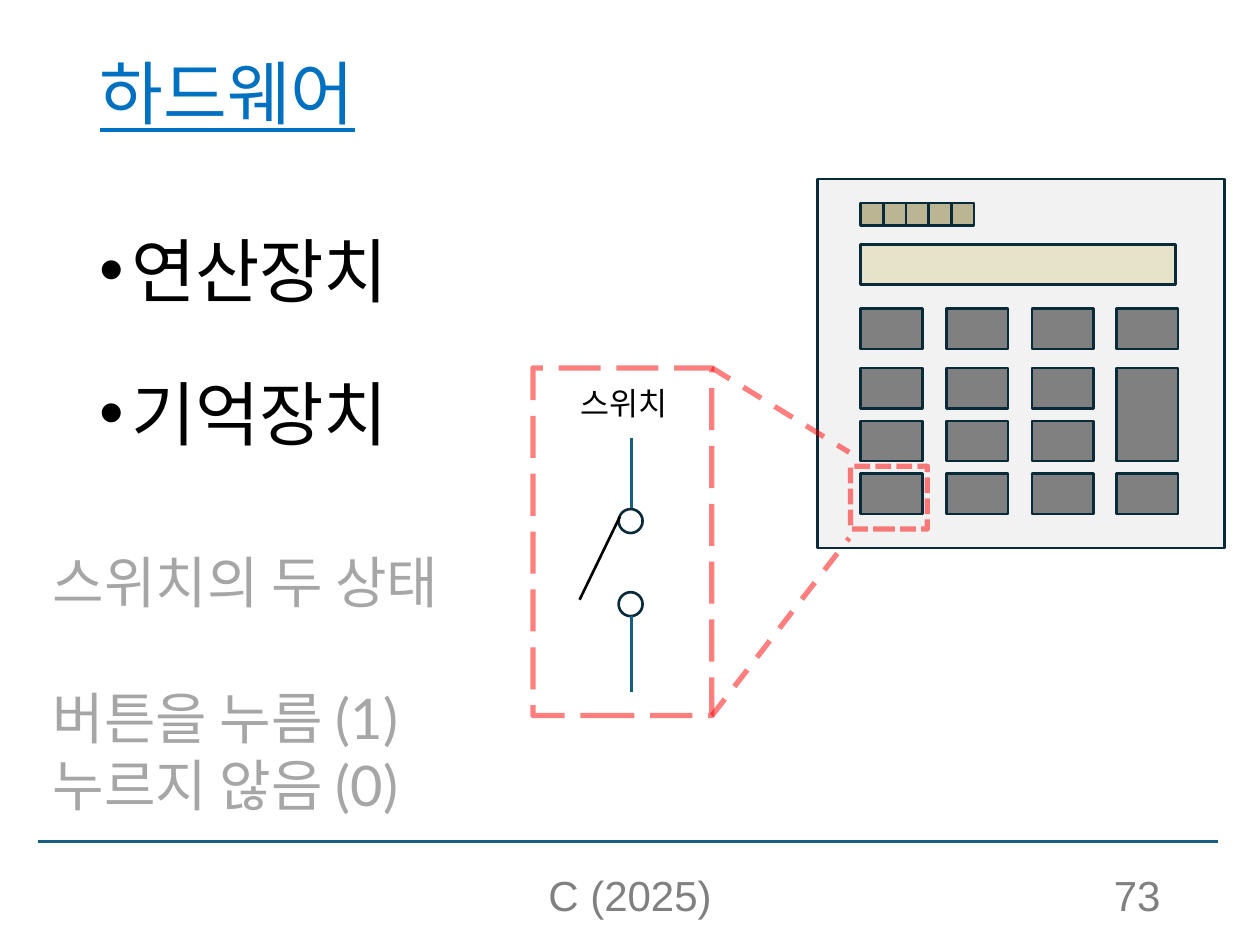
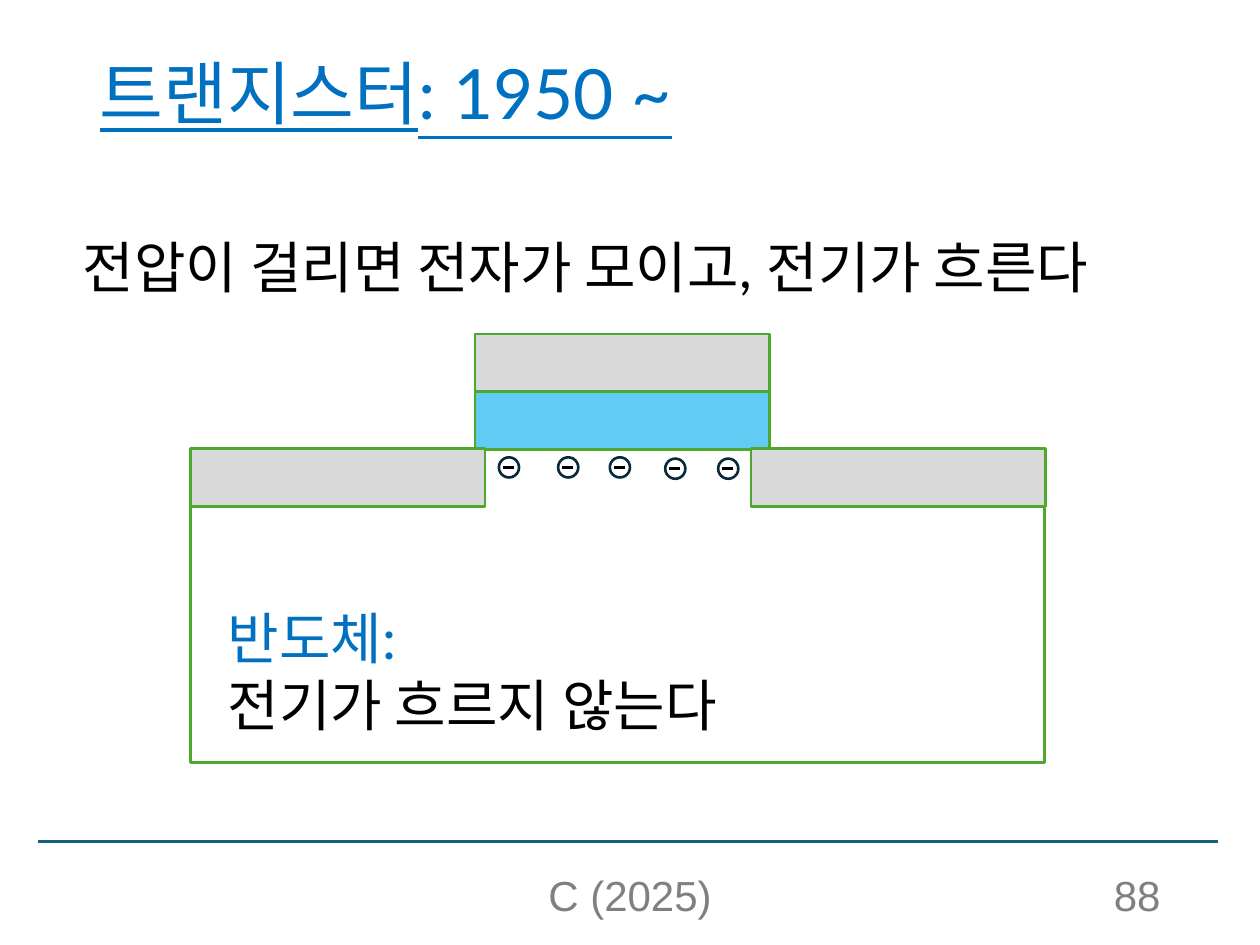
"""Build two lecture slides: a calculator's switches and a transistor."""
from dataclasses import dataclass

from lxml import etree
from pptx import Presentation
from pptx import util as u
from pptx.dml.color import RGBColor
from pptx.enum import dml, shapes, text as txt
from pptx.oxml import ns


@dataclass(frozen=True)
class Theme:
    font: str = "Lato"
    foot_font: str = "Arial"
    head: float = 39.6
    list: int = 40
    text: int = 32
    foot: int = 24
    label: int = 18
    blue: str = "0070C0"
    rule: str = "156082"
    edge: str = "092A39"
    black: str = "000000"
    grey: str = "808080"
    pale: str = "A6A6A6"
    case: str = "F2F2F2"
    screen: str = "E7E3CB"
    cell: str = "BBB593"
    red: str = "FF0000"
    green: str = "4EA72E"
    metal: str = "D9D9D9"
    oxide: str = "61CBF4"
    white: str = "FFFFFF"


T = Theme()
PX = 9144
RECT = shapes.MSO_SHAPE.RECTANGLE
OVAL = shapes.MSO_SHAPE.OVAL
TOP, MID, LOW = txt.MSO_ANCHOR.TOP, txt.MSO_ANCHOR.MIDDLE, txt.MSO_ANCHOR.BOTTOM
LEFT, MIDST, RIGHT = txt.PP_ALIGN.LEFT, txt.PP_ALIGN.CENTER, txt.PP_ALIGN.RIGHT


def write(box, words, at=None, size=T.text, font=T.font, color=T.black, align=LEFT,
          anchor=TOP, under=None, lead=1.0, before=0, bullet=None):
    if at:
        box.left, box.top, box.width, box.height = (n * PX for n in at)
    frame = box.text_frame
    frame.word_wrap = True
    frame.auto_size = txt.MSO_AUTO_SIZE.NONE
    frame.vertical_anchor = anchor
    para = frame.add_paragraph() if frame.text else frame.paragraphs[0]
    if bullet:
        props = para._p.get_or_add_pPr()
        props.set("marL", str(25 * PX))
        props.set("indent", str(-25 * PX))
        etree.SubElement(props, ns.qn("a:buFont"), typeface="Arial")
        etree.SubElement(props, ns.qn("a:buChar"), char=bullet)
    para.alignment = align
    para.line_spacing = lead
    para.space_before = u.Pt(before)
    run = para.add_run()
    run.text = words
    run.font.name = font
    run.font.size = u.Pt(size)
    run.font.underline = under
    run.font.color.rgb = RGBColor.from_string(color)


def draw(place, kind, at, line, fill=None, width=1.5, dash=None, alpha=None):
    at = [n * PX for n in at]
    if kind is None:
        item = place.add_connector(shapes.MSO_CONNECTOR.STRAIGHT, *at)
    else:
        item = place.add_shape(kind, *at)
        item.shadow.inherit = False
        if fill:
            item.fill.solid()
            item.fill.fore_color.rgb = RGBColor.from_string(fill)
        else:
            item.fill.background()
    item.line.color.rgb = RGBColor.from_string(line)
    item.line.width = u.Pt(width)
    if dash:
        item.line.dash_style = dash
    props = item.element.spPr
    if alpha:
        tint = props.xpath("a:ln//a:srgbClr")[0]
        etree.SubElement(tint, ns.qn("a:alpha"), val=str(alpha * 1000))
    if kind is None:
        etree.SubElement(props, ns.qn("a:effectLst"))


deck = Presentation()
deck.slide_width, deck.slide_height = 1000 * PX, 750 * PX

pages = []
for title, wide, number, layout in (
    ("하드웨어", 903, "73", 1),
    ("트랜지스터: 1950 ~", 931, "88", 5),
):
    page = deck.slides.add_slide(deck.slide_layouts[layout])
    items = page.shapes
    draw(items, None, (30, 668, 967, 668), T.rule)
    write(items.title, title, (69, 40, wide, 74), size=T.head, color=T.blue,
          anchor=MID, under=True, lead=0.9)
    for words, at, align in (
        ("C (2025)", (331, 695, 338, 40), MIDST),
        (number, (706, 695, 225, 40), RIGHT),
    ):
        write(items.add_textbox(0, 0, 0, 0), words, at, size=T.foot,
              font=T.foot_font, color=T.grey, align=align, anchor=LOW)
    pages.append(page)

hard, gate = (page.shapes for page in pages)

parts = pages[0].placeholders[1]
for i, words in enumerate(("연산장치", "기억장치")):
    write(parts, words, (69, 142, 903, 534), size=T.list, lead=1.5,
          before=10 * i, bullet="•")

draw(hard, RECT, (649, 142, 323, 293), T.edge, T.case)
draw(hard, RECT, (683, 194, 250, 32), T.edge, T.screen)
for i in range(5):
    draw(hard, RECT, (683 + 18 * i, 161, 18, 18), T.edge, T.cell)
for row, y in enumerate((245, 292, 334, 376)):
    for col, x in enumerate((683, 751, 819, 886)):
        tall = col == 3 and row == 1
        if col == 3 and row == 2:
            continue
        draw(hard, RECT, (x, y, 49, 74 if tall else 32), T.edge, T.grey)

switch = hard.add_group_shape().shapes
for y in (470, 404):
    draw(switch, OVAL, (491, y, 19, 19), T.edge)
for ends, color in (
    ((501, 549, 501, 489), T.rule),
    ((501, 403, 501, 348), T.rule),
    ((492, 410, 460, 476), T.black),
):
    draw(switch, None, ends, color)
write(hard.add_textbox(0, 0, 0, 0), "스위치", (451, 300, 100, 40), size=T.label)

DASH = dml.MSO_LINE
for kind, at, dash in (
    (RECT, (675, 370, 61, 50), DASH.SQUARE_DOT),
    (RECT, (423, 292, 142, 276), DASH.LONG_DASH),
    (None, (565, 292, 674, 359), DASH.DASH),
    (None, (565, 568, 674, 427), DASH.DASH),
):
    draw(hard, kind, at, T.red, width=3, dash=dash, alpha=50)

states = hard.add_textbox(0, 0, 0, 0)
for words, gap in (("스위치의 두 상태", 0), ("버튼을 누름 (1)", 39), ("누르지 않음 (0)", 0)):
    write(states, words, (32, 430, 383, 226), color=T.pale, before=gap)

for at, fill in (
    ((151, 357, 678, 248), T.white),
    ((377, 265, 234, 46), T.metal),
    ((377, 311, 234, 46), T.oxide),
    ((151, 356, 234, 46), T.metal),
    ((596, 356, 234, 46), T.metal),
):
    draw(gate, RECT, at, T.green, fill)

base = gate.add_textbox(0, 0, 0, 0)
for words, color in (("반도체:", T.blue), ("전기가 흐르지 않는다", T.black)):
    write(base, words, (171, 474, 450, 118), color=color)

for x, y in ((396, 363), (443, 363), (484, 363), (528, 364), (570, 364)):
    charge = gate.add_group_shape().shapes
    draw(charge, None, (x + 12, y + 8, x + 3, y + 8), T.black)
    draw(charge, OVAL, (x, y, 16, 16), T.edge)

write(gate.add_textbox(0, 0, 0, 0), "전압이 걸리면 전자가 모이고, 전기가 흐른다", (56, 180, 889, 64))

deck.save("out.pptx")
